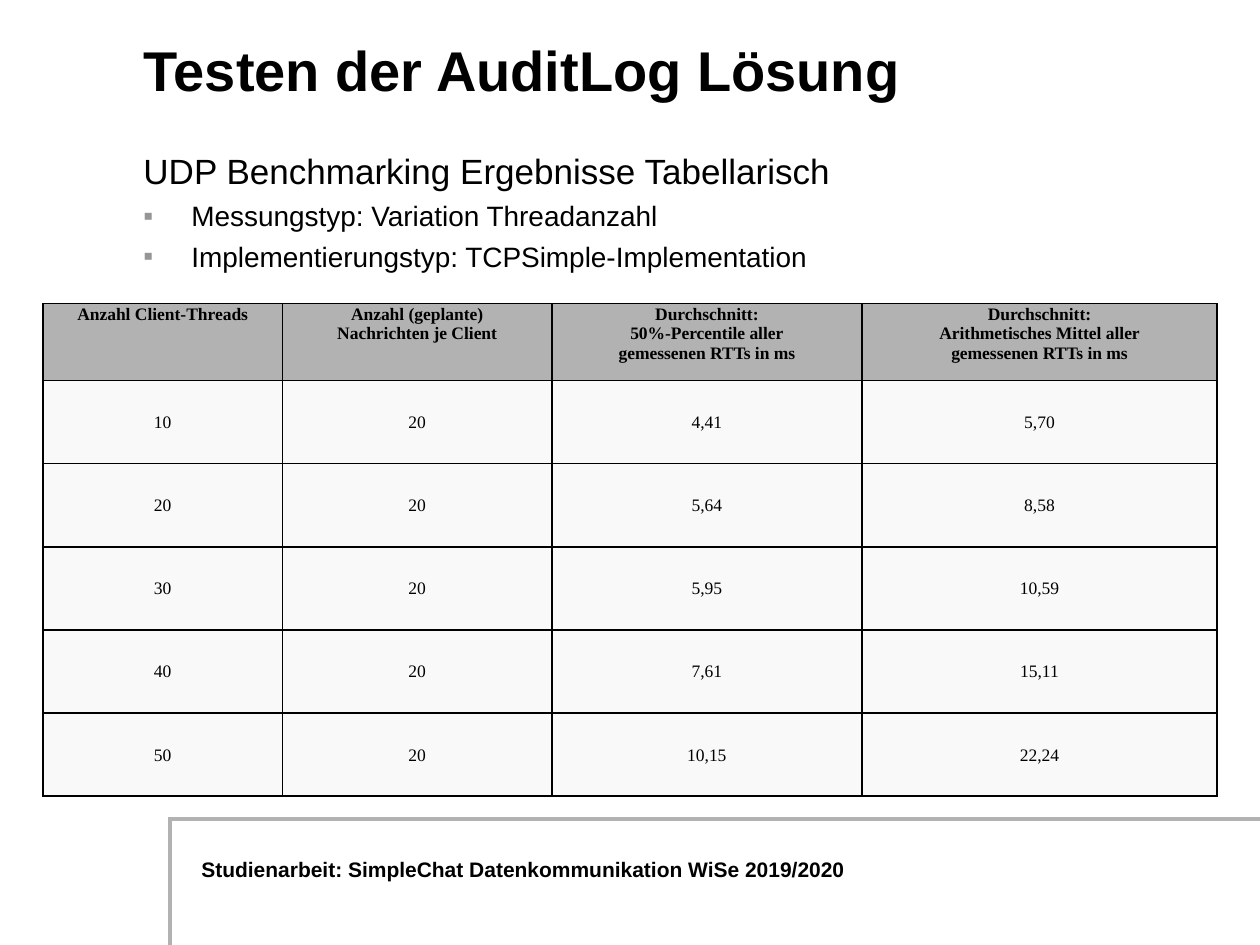
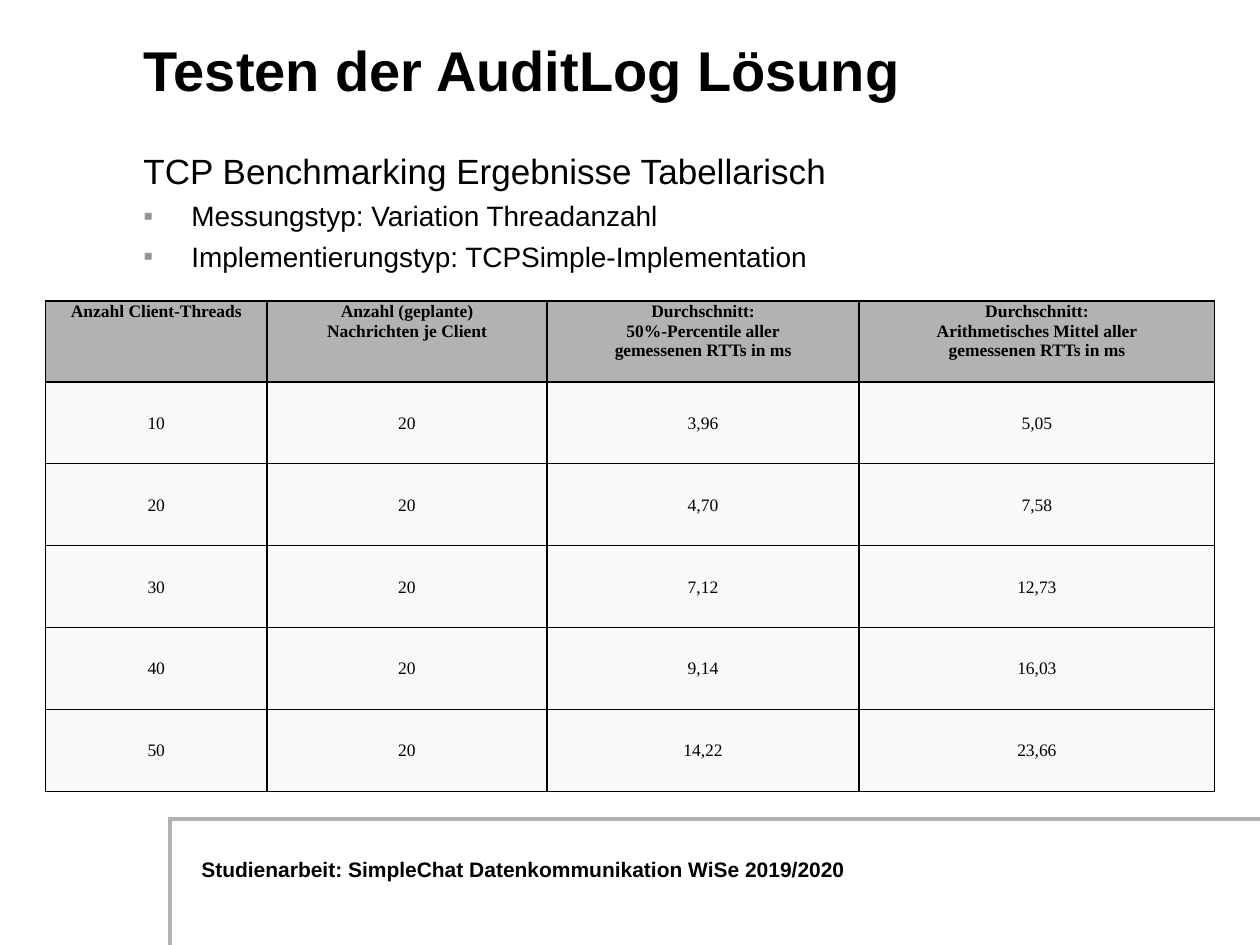
from dataclasses import dataclass

from lxml.etree import SubElement
from pptx import Presentation
from pptx.dml.color import RGBColor
from pptx.enum.shapes import MSO_CONNECTOR
from pptx.enum.text import MSO_ANCHOR, MSO_AUTO_SIZE, PP_ALIGN
from pptx.oxml.ns import qn
from pptx.slide import Slide
from pptx.util import Emu, Pt

PX = 9144  # 100 px to the inch
COLOURS = {
    "text": "000000",
    "rule": "B2B2B2",
    "bullet": "969696",
    "header": "B2B2B2",
    "cell": "F9F9F9",
}
SANS = "Arial"
SERIF = "Times New Roman"
TITLE = "Testen der AuditLog Lösung"
FOOTER = "Studienarbeit: SimpleChat Datenkommunikation WiSe 2019/2020"
DETAILS = (
    "Messungstyp: Variation Threadanzahl",
    "Implementierungstyp: TCPSimple-Implementation",
)
HEADERS = (
    "Anzahl Client-Threads",
    "Anzahl (geplante)\nNachrichten je Client",
    "Durchschnitt:\n50%-Percentile aller\ngemessenen RTTs in ms",
    "Durchschnitt:\nArithmetisches Mittel aller\ngemessenen RTTs in ms",
)
THREADS = (10, 20, 30, 40, 50)
MESSAGES = "20"


@dataclass(frozen=True)
class Benchmark:
    protocol: str
    left: int
    top: int
    columns: tuple[int, ...]
    header_height: int
    row_height: int
    medians: tuple[str, ...]
    means: tuple[str, ...]

    def rows(self) -> list[tuple[str, ...]]:
        results = zip(THREADS, self.medians, self.means)
        return [HEADERS] + [
            (str(threads), MESSAGES, median, mean)
            for threads, median, mean in results
        ]


BENCHMARKS = (
    Benchmark("UDP", 34, 241, (190, 214, 246, 282), 61, 66,
              ("4,41", "5,64", "5,95", "7,61", "10,15"),
              ("5,70", "8,58", "10,59", "15,11", "22,24")),
    Benchmark("TCP", 36, 239, (176, 222, 248, 282), 64, 65,
              ("3,96", "4,70", "7,12", "9,14", "14,22"),
              ("5,05", "7,58", "12,73", "16,03", "23,66")),
)


def px(length: int) -> Emu:
    return Emu(length * PX)


def colour(name: str) -> RGBColor:
    return RGBColor.from_string(COLOURS[name])


def style(para, size: int, face: str = SANS, bold: bool = False) -> None:
    font = para.font
    font.size, font.name, font.bold = Pt(size), face, bold
    font.color.rgb = colour("text")


def add_text_box(page: Slide, left: int, top: int, width: int, height: int):
    frame = page.shapes.add_textbox(px(left), px(top), px(width), px(height)).text_frame
    frame.word_wrap = True
    return frame


def add_rule(page: Slide, start: tuple[int, int], end: tuple[int, int]) -> None:
    rule = page.shapes.add_connector(
        MSO_CONNECTOR.STRAIGHT, *map(px, start), *map(px, end))
    rule.line.color.rgb = colour("rule")
    rule.line.width = Pt(2.25)
    SubElement(rule._element.spPr, qn("a:effectLst"))


def add_footer(page: Slide) -> None:
    add_rule(page, (133, 650), (1000, 650))
    add_rule(page, (135, 750), (135, 650))
    frame = add_text_box(page, 150, 675, 667, 30)
    frame.margin_right = 0
    frame.text = FOOTER
    style(frame.paragraphs[0], 12, bold=True)


def set_title(page: Slide) -> None:
    title = page.shapes.title
    title.left, title.top, title.width, title.height = map(px, (104, -16, 792, 142))
    frame = title.text_frame
    frame.text = TITLE
    frame.auto_size = MSO_AUTO_SIZE.NONE
    frame.vertical_anchor = MSO_ANCHOR.MIDDLE
    para = frame.paragraphs[0]
    para.alignment = PP_ALIGN.LEFT
    style(para, 32, bold=True)


def add_bullet(para) -> None:
    properties = para._p.get_or_add_pPr()
    properties.set("marL", str(px(38)))
    properties.set("indent", str(px(-38)))
    bullet_colour = SubElement(properties, qn("a:buClr"))
    SubElement(bullet_colour, qn("a:srgbClr"), val=COLOURS["bullet"])
    SubElement(properties, qn("a:buFont"), typeface=SANS)
    SubElement(properties, qn("a:buChar"), char="▪")


def add_summary(page: Slide, protocol: str) -> None:
    frame = add_text_box(page, 104, 114, 848, 106)
    frame.text = f"{protocol} Benchmarking Ergebnisse Tabellarisch"
    style(frame.paragraphs[0], 20)
    for detail in DETAILS:
        para = frame.add_paragraph()
        para.text = detail
        add_bullet(para)
        para.space_before = Pt(4)
        style(para, 16)


def add_borders(cell) -> None:
    properties = cell._tc.get_or_add_tcPr()
    for side in ("lnL", "lnR", "lnT", "lnB"):
        line = SubElement(properties, qn(f"a:{side}"), w=str(Pt(1)))
        fill = SubElement(line, qn("a:solidFill"))
        SubElement(fill, qn("a:srgbClr"), val=COLOURS["text"])


def fill_cell(cell, text: str, is_header: bool) -> None:
    cell.text = text
    cell.margin_left = cell.margin_right = cell.margin_top = px(1)
    cell.margin_bottom = 0
    cell.vertical_anchor = MSO_ANCHOR.TOP if is_header else MSO_ANCHOR.MIDDLE
    add_borders(cell)
    cell.fill.solid()
    cell.fill.fore_color.rgb = colour("header" if is_header else "cell")
    for para in cell.text_frame.paragraphs:
        para.alignment = PP_ALIGN.CENTER
        style(para, 10, SERIF, bold=is_header)


def add_results(page: Slide, benchmark: Benchmark) -> None:
    rows = benchmark.rows()
    height = benchmark.header_height + benchmark.row_height * len(THREADS)
    table = page.shapes.add_table(
        len(rows), len(HEADERS), px(benchmark.left), px(benchmark.top),
        px(sum(benchmark.columns)), px(height)).table
    table.horz_banding = False
    for column, width in zip(table.columns, benchmark.columns):
        column.width = px(width)
    for index, texts in enumerate(rows):
        is_header = index == 0
        table.rows[index].height = px(
            benchmark.header_height if is_header else benchmark.row_height)
        for cell, text in zip(table.rows[index].cells, texts):
            fill_cell(cell, text, is_header)


def main() -> None:
    deck = Presentation()
    deck.slide_width, deck.slide_height = px(1000), px(750)
    title_only = deck.slide_layouts[5]
    for benchmark in BENCHMARKS:
        page = deck.slides.add_slide(title_only)
        add_footer(page)
        set_title(page)
        add_summary(page, benchmark.protocol)
        add_results(page, benchmark)
    deck.save("out.pptx")


if __name__ == "__main__":
    main()
